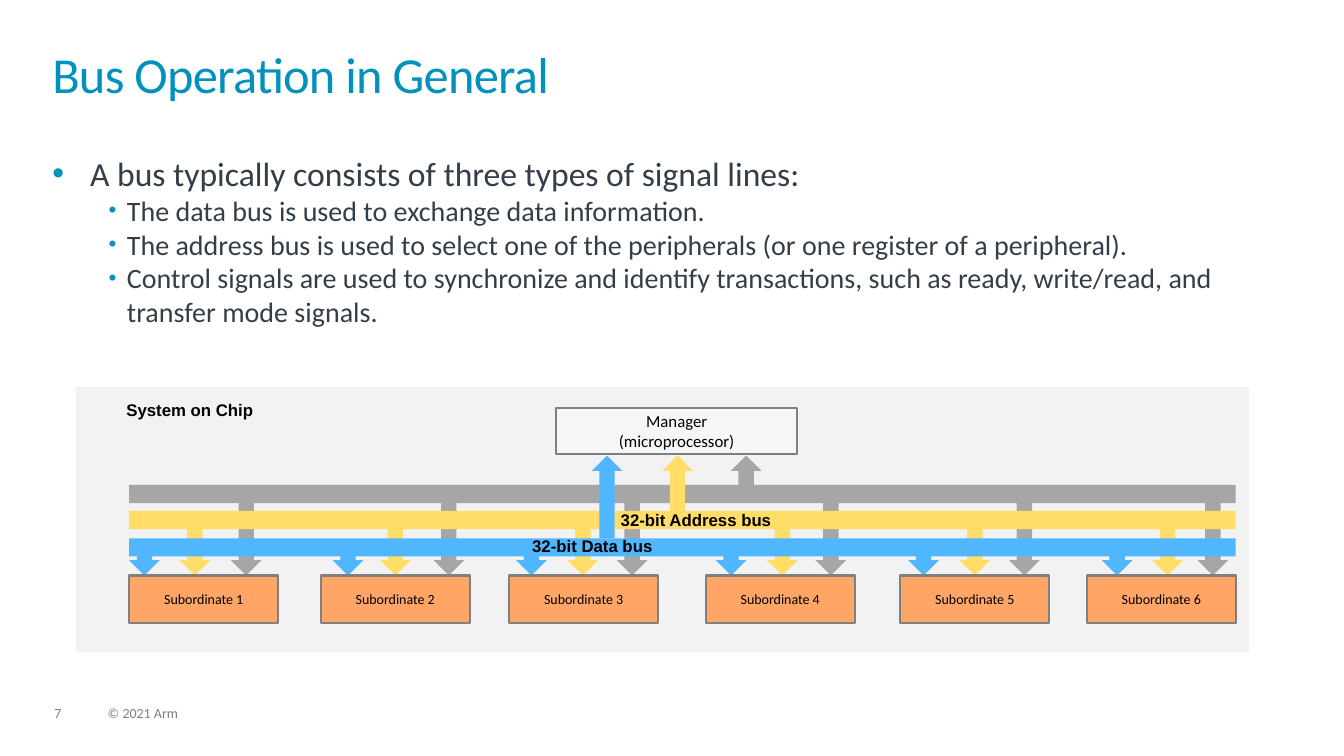
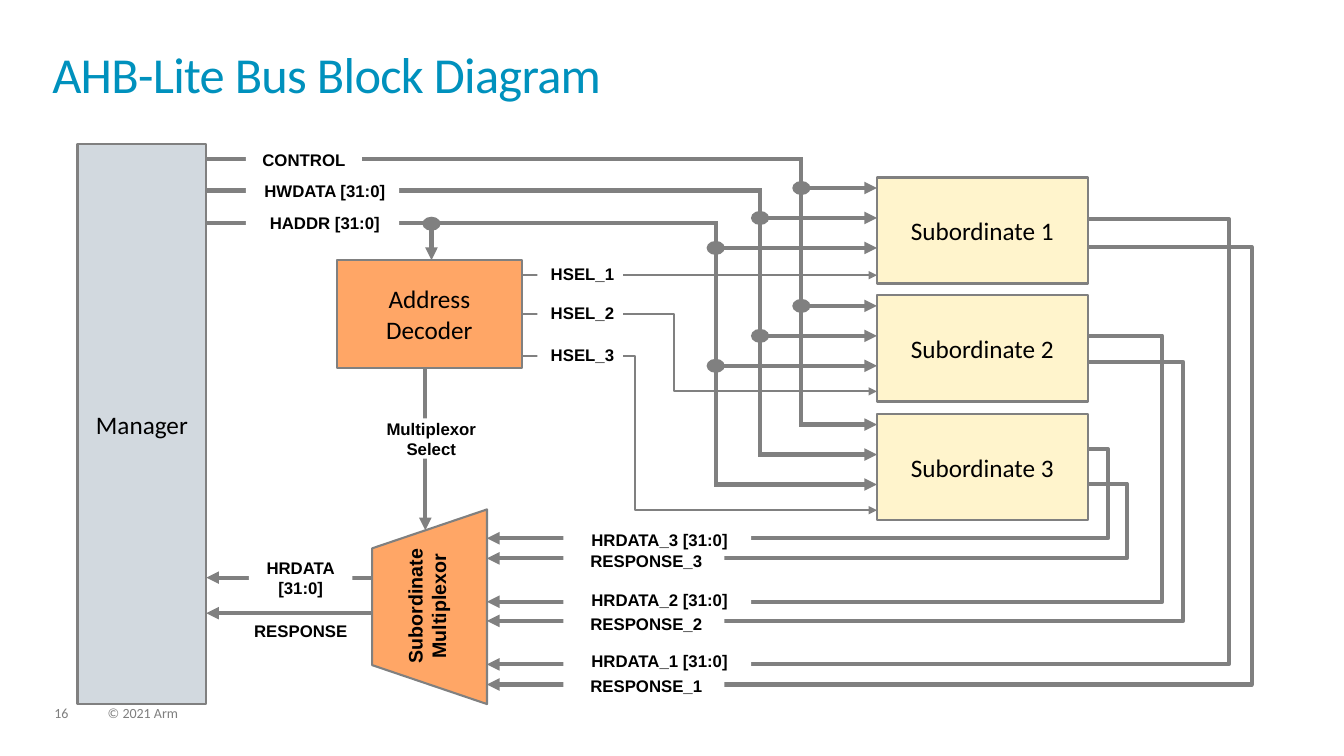
from lxml import etree
from pptx import Presentation
from pptx.dml.color import RGBColor
from pptx.enum.shapes import MSO_CONNECTOR, MSO_SHAPE
from pptx.enum.text import MSO_ANCHOR, PP_ALIGN
from pptx.oxml.ns import qn
from pptx.util import Pt

COLORS = {
    "title": "0091BD", "body": "333E48", "footer": "7F7F7F", "text": "000000",
    "line": "808080", "white": "FFFFFF", "panel": "F2F2F2", "cpu": "F5F7F7",
    "control": "A6A6A6", "address": "FFDD66", "data": "50B7FF",
    "orange": "FFA666", "manager": "D2D9DF", "cream": "FFF4CC",
}


def rgb(name):
    return RGBColor.from_string(COLORS[name])


def write(tf, lines, size, color="text", font="Calibri", bold=False, align=PP_ALIGN.LEFT):
    tf.text = "\n".join(lines)
    for p in tf.paragraphs:
        p.alignment = align
        for r in p.runs:
            r.font.name, r.font.size, r.font.bold = font, Pt(size), bold
            r.font.color.rgb = rgb(color)


def set_margins(tf, left=0):
    tf.margin_left = Pt(left)
    tf.margin_right = tf.margin_top = tf.margin_bottom = 0


class Region:
    """Draws on a slide with lengths in points from the region's top left corner."""

    def __init__(self, s, x=0, y=0):
        self.s, self.x, self.y = s, x, y

    def box(self, x, y, w, h):
        return Pt(self.x + x), Pt(self.y + y), Pt(w), Pt(h)

    def shape(self, kind, x, y, w, h, fill, outline=False):
        sp = self.s.shapes.add_shape(kind, *self.box(x, y, w, h))
        sp.shadow.inherit = False
        sp.fill.solid()
        sp.fill.fore_color.rgb = rgb(fill)
        if outline:
            sp.line.color.rgb = rgb("line")
            sp.line.width = Pt(1.5)
        else:
            sp.line.fill.background()
        return sp

    def block(self, lines, x, y, w, h, fill, size):
        sp = self.shape(MSO_SHAPE.RECTANGLE, x, y, w, h, fill, outline=True)
        tf = sp.text_frame
        tf.word_wrap = False
        tf.vertical_anchor = MSO_ANCHOR.MIDDLE
        write(tf, lines, size, align=PP_ALIGN.CENTER)

    def text(self, lines, x, y, w, h, size, margins=True, **style):
        tb = self.s.shapes.add_textbox(*self.box(x, y, w, h))
        tb.text_frame.word_wrap = True
        if not margins:
            set_margins(tb.text_frame)
        write(tb.text_frame, lines, size, **style)
        return tb

    def label(self, lines, x, y, w, lead=0):
        """A white plate that interrupts the wire behind it."""
        sp = self.shape(MSO_SHAPE.RECTANGLE, x, y, w, 14.4 * len(lines), "white")
        tf = sp.text_frame
        tf.word_wrap = True
        tf.vertical_anchor = MSO_ANCHOR.TOP
        set_margins(tf, lead)
        write(tf, lines, 12, font="Arial", bold=True, align=PP_ALIGN.CENTER)

    def dot(self, x, y):
        self.shape(MSO_SHAPE.OVAL, x - 6.5, y - 5, 13, 10, "line")

    def wire(self, x1, y1, x2, y2, width=3, arrow=False, bend=None):
        """A straight line, or an elbow whose vertical part is at x = bend."""
        kind = MSO_CONNECTOR.STRAIGHT if bend is None else MSO_CONNECTOR.ELBOW
        c = self.s.shapes.add_connector(
            kind, Pt(self.x + x1), Pt(self.y + y1), Pt(self.x + x2), Pt(self.y + y2))
        c.line.color.rgb = rgb("line")
        c.line.width = Pt(width)
        sppr = c._element.spPr
        if arrow:
            etree.SubElement(sppr.find(qn("a:ln")), qn("a:tailEnd"), type="triangle")
        etree.SubElement(sppr, qn("a:effectLst"))
        if bend is not None:
            geom = sppr.find(qn("a:prstGeom"))
            av = geom.find(qn("a:avLst"))
            if av is None:
                av = etree.SubElement(geom, qn("a:avLst"))
            ratio = round((bend - x1) / (x2 - x1) * 100000)
            etree.SubElement(av, qn("a:gd"), name="adj1", fmla=f"val {ratio}")
            if x2 < x1:  # a half turn plus a vertical flip equals a horizontal flip
                xfrm = sppr.find(qn("a:xfrm"))
                xfrm.attrib.pop("flipH", None)
                xfrm.set("rot", "10800000")
                xfrm.set("flipV", "1")


def add_slide(prs, title, number):
    s = prs.slides.add_slide(prs.slide_layouts[6])
    page = Region(s)
    for line, x, w in ((str(number), 38.9, 24.5), ("© 2021 Arm", 77, 365)):
        tb = page.text([line], x, 504.7, w, 10.8, 10, margins=False, color="footer")
        tb.text_frame.paragraphs[0].line_spacing = 0.9
    tb = page.text([title], 37.4, 37.4, 884, 51.8, 36, margins=False, color="title")
    p = tb.text_frame.paragraphs[0]
    p.line_spacing = 0.85
    p.runs[0]._r.get_or_add_rPr().set("spc", "-50")
    return s


def add_bullet(p, left, hanging, percent):
    ppr = p._p.get_or_add_pPr()
    ppr.set("marL", str(Pt(left)))
    ppr.set("indent", str(-Pt(hanging)))
    color = etree.SubElement(ppr, qn("a:buClr"))
    etree.SubElement(color, qn("a:srgbClr"), val=COLORS["title"])
    etree.SubElement(ppr, qn("a:buSzPct"), val=str(percent * 1000))
    etree.SubElement(ppr, qn("a:buFont"), typeface="Arial")
    etree.SubElement(ppr, qn("a:buChar"), char="•")


def bullet_list(s, x, y, w, h, lead, points):
    tb = Region(s, x, y).text([lead, *points], 0, 0, w, h, 20, margins=False, color="body")
    first, *rest = tb.text_frame.paragraphs
    first.runs[0].font.size = Pt(24)
    add_bullet(first, 27, 27, 100)
    for p in rest:
        p.level = 1
        add_bullet(p, 53.3, 13, 80)


def chip_panel(s, x, y):
    chip = Region(s, x, y)
    bar_x, bar_w, bar_h, arrow_w = 38.2, 790.5, 13, 22
    subs_y, cpu_bottom = 134.6, 48.9
    chip.shape(MSO_SHAPE.RECTANGLE, 0, 0, 838, 189.5, "panel")
    chip.block(["Manager", "(microprocessor)"], 343.4, 15.1, 172, 32.4, "cpu", 12)

    # bus, top of its bar, left and foot of the arrow up, lefts of the arrows down
    buses = (
        ("control", 69.8, 468, 74.9, (110.9, 255.6, 386.6, 528.5, 666.7, 801.4)),
        ("address", 88.5, 419, 92.1, (74.2, 217.4, 351.4, 493.9, 631.4, 769)),
        ("data", 108, 368.6, 108, (38.2, 183.6, 314.6, 457.2, 594.7, 733)),
    )
    for color, bar_y, up_x, up_foot, downs in buses:
        chip.shape(MSO_SHAPE.RECTANGLE, bar_x, bar_y, bar_w, bar_h, color)
        for down_x in downs:
            top = bar_y + 2.9
            chip.shape(MSO_SHAPE.DOWN_ARROW, down_x, top, arrow_w, subs_y - top, color)
        chip.shape(MSO_SHAPE.UP_ARROW, up_x, cpu_bottom, arrow_w, up_foot - cpu_bottom, color)

    for i, sub_x in enumerate((38.2, 175, 309.6, 450, 589, 722.2), 1):
        chip.block([f"Subordinate {i}"], sub_x, subs_y, 106.6, 33.8, "orange", 10)

    bold = {"font": "Arial", "bold": True}
    chip.text(["System on Chip"], 10.1, 5.7, 143, 21.6, 12, align=PP_ALIGN.CENTER, **bold)
    chip.text(["32-bit Address bus"], 382.3, 84.2, 171, 21.6, 12, **bold)
    chip.text(["32-bit Data bus"], 319, 102.9, 143, 21.6, 12, **bold)


SUB_X, SUB_W, SUB_H = 571, 150.5, 75.8
SUB_TOPS = (23.8, 108, 192.8)
MANAGER_W, MUX_LEFT, MUX_RIGHT = 92, 210.5, 292.4
SPACE = 3.3


def signal_buses(d):
    """Manager outputs: a trunk each, with one branch to every subordinate."""
    signals = (("CONTROL", 10.8, 517, 82.8, 0),
               ("HWDATA [31:0]", 33.1, 487.5, 109.4, SPACE),
               ("HADDR [31:0]", 56.1, 455.8, 109.4, SPACE))
    for i, (name, y, trunk, label_w, lead) in enumerate(signals):
        branches = [top + 7.5 + 21.4 * i for top in SUB_TOPS]
        d.wire(MANAGER_W, y, trunk + 1.5, y)
        d.wire(trunk, y, trunk, branches[-1] + 1.5)
        for branch in branches:
            d.wire(trunk, branch, SUB_X, branch, arrow=True)
        for branch in branches[:-1]:
            d.dot(trunk, branch)
        d.label([name], 120.3, y - 7.2, label_w, lead)


def address_decoder(d):
    x, y, w, h = 185.1, 82.8, 132.5, 77
    d.wire(252.8, 56.1, 252.8, y, arrow=True)
    d.dot(252.8, 56.8)
    d.block(["Address", "Decoder"], x, y, w, h, "orange", 18)
    selects = ((93.6, None), (121.6, 426.3), (151.2, 398.2))
    for i, ((start, bend), top) in enumerate(zip(selects, SUB_TOPS), 1):
        end = start if bend is None else top + 68.6
        d.wire(x + w, start, SUB_X, end, width=1.5, arrow=True, bend=bend)
        d.label([f"HSEL_{i}"], 328.4, start - 8, 61.2, SPACE)
    d.wire(248.4, y + h, 248.4, 275.7, arrow=True)
    d.label(["Multiplexor", "Select"], 198, 195.8, 109.4)


def multiplexor(d):
    w, h = 139, 82
    cx, cy = (MUX_LEFT + MUX_RIGHT) / 2, 330.4
    sp = d.shape(MSO_SHAPE.FLOWCHART_MANUAL_OPERATION, cx - w / 2, cy - h / 2, w, h,
                 "orange", outline=True)
    sp.rotation = 90
    tb = d.text(["Subordinate", "Multiplexor"], 199.5, 309.6, 100, 41, 14,
                font="Arial", bold=True, align=PP_ALIGN.CENTER)
    tb.rotation = 270
    for y in (309.6, 335):
        d.wire(MUX_LEFT, y, MANAGER_W, y, arrow=True)
    d.label(["HRDATA", "[31:0]"], 122.4, 295.2, 74)
    d.label(["RESPONSE"], 109.5, 340.5, 100)


def subordinates(d):
    """Subordinates and their return wires to the multiplexor."""
    # For data, then response: exit below the block's top, bend, end, label top
    returns = (
        ((29.5, 822.3, 371.5, 362.1), (49.7, 838.8, 385.9, 379.4)),
        ((28.8, 774.8, 326.8, 318.2), (47.5, 789.9, 340.5, 335.5)),
        ((25.2, 735.9, 281.5, 275.7), (49.7, 749.6, 295.9, 290.1)),
    )
    for i, (top, wires) in enumerate(zip(SUB_TOPS, returns), 1):
        d.block([f"Subordinate {i}"], SUB_X, top, SUB_W, SUB_H, "cream", 18)
        for drop, bend, end, _ in wires:
            d.wire(SUB_X + SUB_W, top + drop, MUX_RIGHT, end, arrow=True, bend=bend)
        names = ((f"HRDATA_{i} [31:0]", 134), (f"RESPONSE_{i}", 115))
        for (name, w), (*_, label_y) in zip(names, wires):
            d.label([name], 347.1, label_y, w, SPACE)


def block_diagram(s, x, y):
    d = Region(s, x, y)
    d.block(["Manager"], 0, 0, MANAGER_W, 399.6, "manager", 18)
    signal_buses(d)
    address_decoder(d)
    multiplexor(d)
    subordinates(d)


def main():
    prs = Presentation()
    prs.slide_width, prs.slide_height = Pt(960), Pt(540)

    s = add_slide(prs, "Bus Operation in General", 7)
    bullet_list(s, 37.4, 109.4, 880.6, 160, "A bus typically consists of three types of signal lines:", [
        "The data bus is used to exchange data information.",
        "The address bus is used to select one of the peripherals (or one register of a peripheral).",
        "Control signals are used to synchronize and identify transactions, such as ready, "
        "write/read, and transfer mode signals.",
    ])
    chip_panel(s, 54, 276.5)

    s = add_slide(prs, "AHB-Lite Bus Block Diagram", 16)
    block_diagram(s, 55.4, 103)
    prs.save("out.pptx")


if __name__ == "__main__":
    main()
